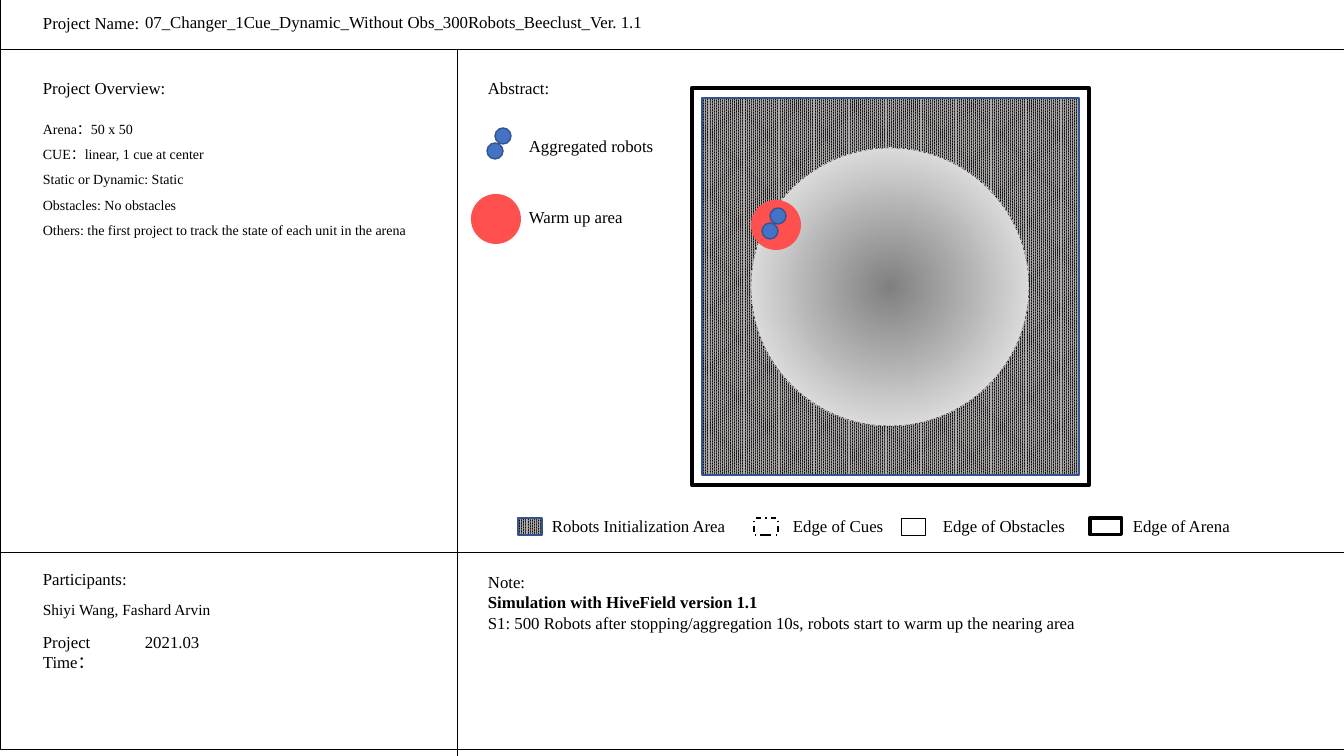
from dataclasses import dataclass

from lxml.etree import SubElement
from pptx import Presentation
from pptx.dml.color import RGBColor as RGB
from pptx.enum.dml import MSO_LINE as DASH, MSO_PATTERN as PATTERN
from pptx.enum.shapes import MSO_CONNECTOR as LINK, MSO_SHAPE as FORM
from pptx.enum.text import MSO_ANCHOR as ANCHOR, PP_ALIGN as ALIGN
from pptx.oxml.ns import qn
from pptx.util import Emu, Pt

SCALE = 914400 / 100.8


def px(value):
    return Emu(round(value * SCALE))


@dataclass(frozen=True)
class Theme:
    font: str = "Times New Roman"
    ink: str = "000000"
    robot: str = "4472C4"
    robot_edge: str = "325491"
    warm: str = "FF5050"
    mesh: str = "AFABAB"
    cue: tuple = ("808080", "FFFFFF")
    body: int = 12
    names: int = 11
    detail: int = 10
    hairline: float = 0.5


class Sheet:
    def __init__(self, deck, theme):
        self.theme = theme
        self.slide = deck.slides.add_slide(deck.slide_layouts[5])

    def set_all(self, target, values):
        for name, value in values.items():
            setattr(target, name, value)

    def fill_text(self, box, lines, size=None, spacing=1.0, bold_lines=()):
        frame = box.text_frame
        self.set_all(frame, {"text": "\n".join(lines), "word_wrap": True,
                             "vertical_anchor": ANCHOR.TOP})
        for index, paragraph in enumerate(frame.paragraphs):
            self.set_all(paragraph, {"alignment": ALIGN.LEFT, "line_spacing": spacing})
            for run in paragraph.runs:
                self.set_all(run.font, {"name": self.theme.font,
                                        "size": Pt(size or self.theme.body),
                                        "bold": index in bold_lines})
                run.font.color.rgb = RGB.from_string(self.theme.ink)

    def title(self, words, left, top, width, height):
        heading = self.slide.shapes.title
        self.set_all(heading, {"left": px(left), "top": px(top),
                               "width": px(width), "height": px(height)})
        self.fill_text(heading, [words])

    def text(self, lines, left, top, width, height=30, **style):
        box = self.slide.shapes.add_textbox(px(left), px(top), px(width), px(height))
        self.fill_text(box, lines, **style)

    def stroke(self, line, color, weight, dash=None):
        line.color.rgb = RGB.from_string(color)
        self.set_all(line, {"width": Pt(weight), "dash_style": dash})

    def shape(self, form, left, top, width, height, fill=None, edge=None, weight=1, dash=None):
        part = self.slide.shapes.add_shape(form, px(left), px(top), px(width), px(height))
        part.shadow.inherit = False
        if fill:
            part.fill.solid()
            part.fill.fore_color.rgb = RGB.from_string(fill)
        else:
            part.fill.background()
        if edge:
            self.stroke(part.line, edge, weight, dash)
        else:
            part.line.fill.background()
        return part

    def mesh(self, left, top, width, height):
        area = self.shape(FORM.RECTANGLE, left, top, width, height, edge=self.theme.robot_edge)
        area.fill.patterned()
        area.fill.pattern = PATTERN.PERCENT_90
        area.fill.fore_color.rgb = RGB.from_string(self.theme.mesh)
        area.fill.back_color.rgb = RGB.from_string(self.theme.ink)

    def cue(self, left, top, size):
        disc = self.shape(FORM.OVAL, left, top, size, size, edge=self.theme.ink,
                          weight=0.25, dash=DASH.LONG_DASH_DOT)
        disc.fill.gradient()
        for stop, color, position in zip(disc.fill.gradient_stops, self.theme.cue, (0, 1)):
            stop.color.rgb = RGB.from_string(color)
            stop.position = position
        gradient = disc._element.spPr.find(qn("a:gradFill"))
        gradient.remove(gradient.find(qn("a:lin")))
        radial = SubElement(gradient, qn("a:path"), path="circle")
        SubElement(radial, qn("a:fillToRect"), dict.fromkeys("ltrb", "50000"))

    def warm_area(self, left, top):
        self.shape(FORM.OVAL, left, top, 50, 50, fill=self.theme.warm)

    def robots(self, left, top):
        for across, down in ((0, 15), (8, 0)):
            self.shape(FORM.OVAL, left + across, top + down, 16, 16,
                       fill=self.theme.robot, edge=self.theme.robot_edge)

    def divider(self, x1, y1, x2, y2):
        rule = self.slide.shapes.add_connector(LINK.STRAIGHT, px(x1), px(y1), px(x2), px(y2))
        self.stroke(rule.line, self.theme.ink, self.theme.hairline)
        SubElement(rule._element.spPr, qn("a:effectLst"))


WIDTH, HEIGHT = 1344, 756
MARGIN, NOTES_LEFT, VALUE_LEFT = 33, 478, 135
COLUMN, HEADER, FOOTER = 457, 49, 552

deck = Presentation()
deck.slide_width, deck.slide_height = px(WIDTH), px(HEIGHT)
theme = Theme()
sheet = Sheet(deck, theme)

sheet.title("07_Changer_1Cue_Dynamic_Without Obs_300Robots_Beeclust_Ver. 1.1",
            VALUE_LEFT, 7, 530, 30)

sheet.mesh(702, 98, 377, 377)
sheet.cue(751, 148, 278)
sheet.warm_area(751, 200)
sheet.shape(FORM.RECTANGLE, 692, 88, 397, 397, edge=theme.ink, weight=3)
sheet.robots(762, 208)

sheet.text(["Project Name:"], MARGIN, 8, 159)
sheet.text(["Project Overview:"], MARGIN, 73, 200)
sheet.text(["Arena：50 x 50", "CUE：linear, 1 cue at center", "Static or Dynamic: Static",
            "Obstacles: No obstacles",
            "Others: the first project to track the state of each unit in the arena"],
           MARGIN, 107, 410, 154, size=theme.detail, spacing=1.5)

sheet.text(["Participants:"], MARGIN, 564, 280)
sheet.text(["Shiyi Wang, Fashard Arvin"], MARGIN, 595, 400, size=theme.names)
sheet.text(["Project Time："], MARGIN, 627, 90, 50)
sheet.text(["2021.03"], VALUE_LEFT, 627, 80)

sheet.text(["Abstract:"], NOTES_LEFT, 73, 90)
sheet.text(["Note:", "Simulation with HiveField version 1.1",
            "S1: 500 Robots after stopping/aggregation 10s, "
            "robots start to warm up the nearing area"],
           NOTES_LEFT, 567, 652, 92, bold_lines=(1,))

sheet.robots(487, 128)
sheet.text(["Aggregated robots"], 519, 131, 155)
sheet.warm_area(471, 194)
sheet.text(["Warm up area"], 519, 202, 125)

KEY_TOP, KEY_HEIGHT = 518, 17
sheet.mesh(518, KEY_TOP, 24, KEY_HEIGHT)
for left, width, weight, dash in ((754, 24, 1, DASH.DASH_DOT),
                                  (901, 24, theme.hairline, None),
                                  (1090, 32, 2.25, None)):
    sheet.shape(FORM.RECTANGLE, left, KEY_TOP, width, KEY_HEIGHT,
                edge=theme.ink, weight=weight, dash=dash)
for label, left, width in (("Robots Initialization Area", 542, 203),
                           ("Edge of Cues", 783, 118),
                           ("Edge of Obstacles", 933, 150),
                           ("Edge of Arena", 1123, 125)):
    sheet.text([label], left, 511, width)

sheet.divider(0, HEADER, WIDTH, HEADER)
sheet.divider(COLUMN, HEADER, COLUMN, HEIGHT)
sheet.divider(0, FOOTER, WIDTH, FOOTER)
sheet.shape(FORM.RECTANGLE, 0, -7, WIDTH, HEIGHT, edge=theme.ink, weight=theme.hairline)

deck.save("out.pptx")
